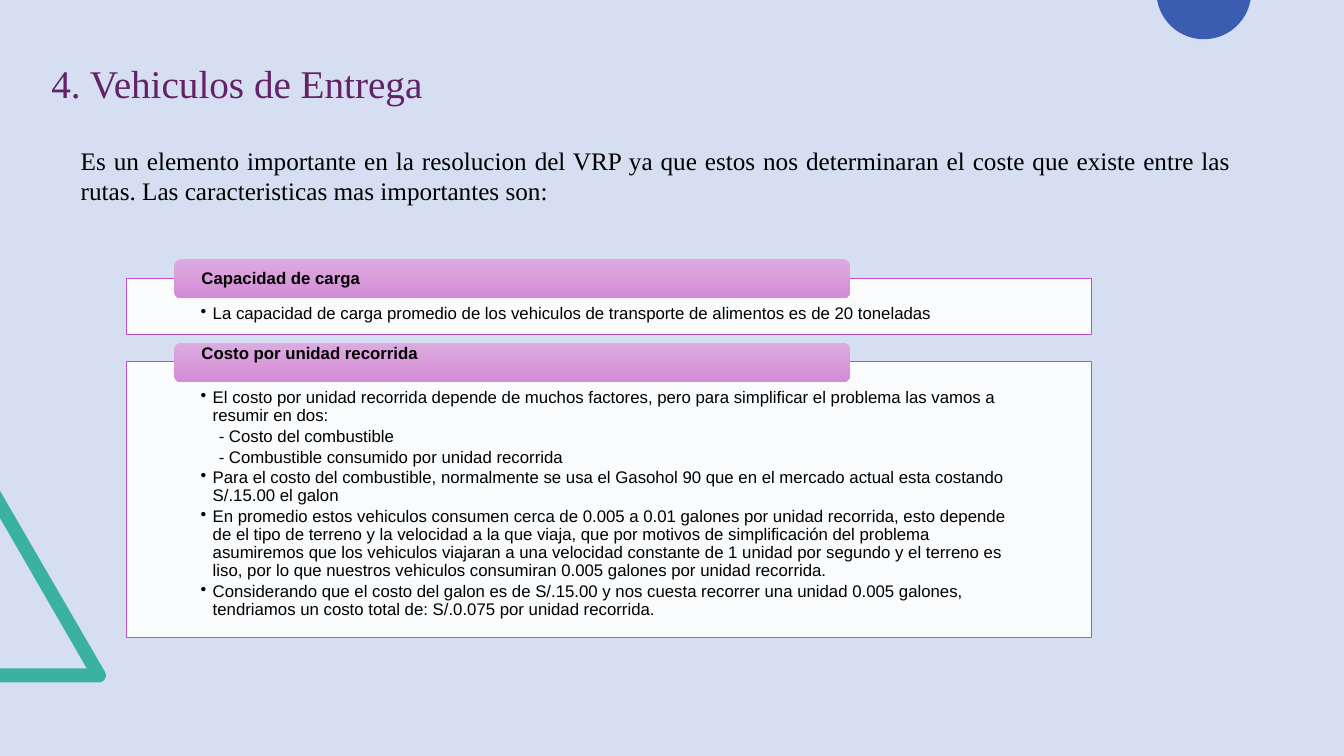
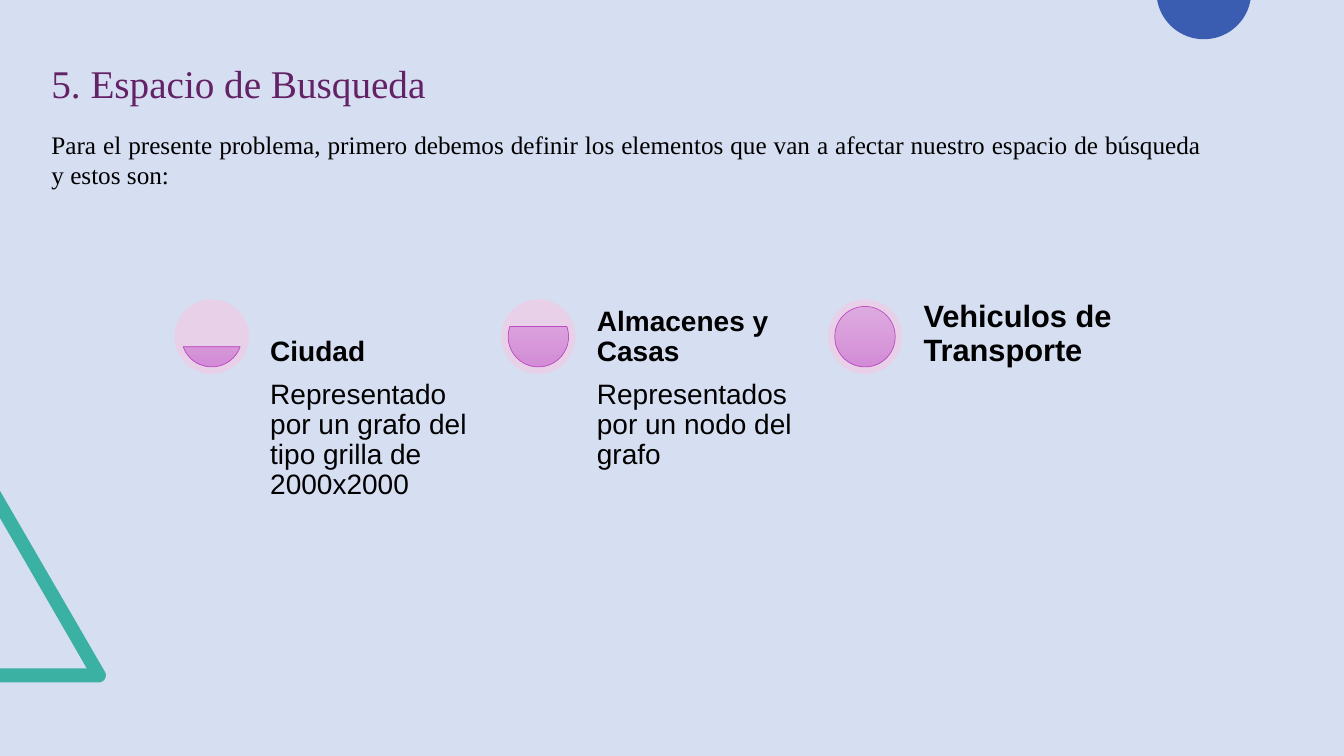
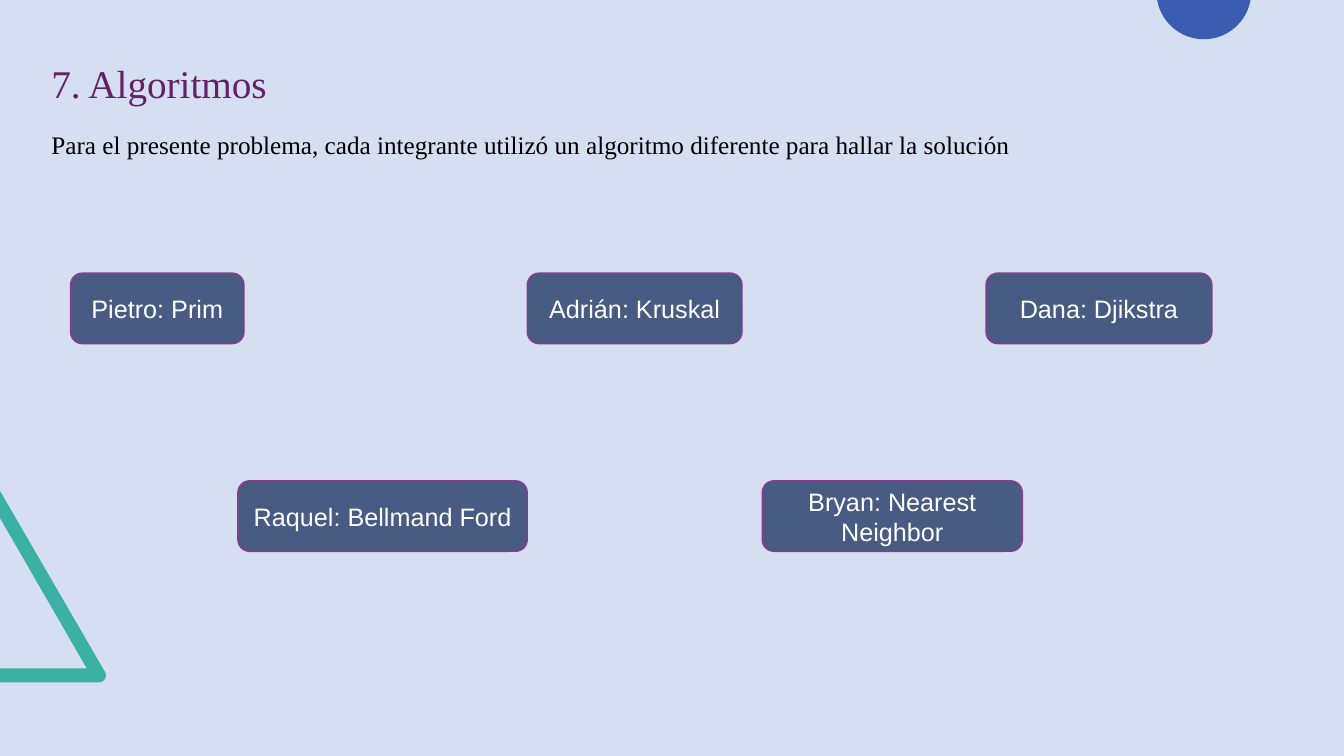
import math
from dataclasses import dataclass, field
from typing import Any, NamedTuple

from lxml import etree
from pptx import Presentation
from pptx import util as u
from pptx.dml.color import RGBColor
from pptx.enum import shapes, text
from pptx.oxml.ns import qn


@dataclass(frozen=True)
class Theme:
    background: str = "D6DEF1"
    teal: str = "3BB1A3"
    blue: str = "3B5DB1"
    title: str = "632266"
    ink: str = "000000"
    white: str = "FFFFFF"
    orchid_light: str = "DDABDF"
    orchid_dark: str = "D38CD6"
    orchid_pale: str = "E8D0E9"
    orchid_line: str = "BF4DC3"
    card: str = "485B83"
    card_line: str = "8D3990"
    serif: str = "Times New Roman"
    sans: str = "Arial"
    title_size: int = 28
    intro_size: int = 18
    panel_size: int = 12
    column_size: int = 20
    column_large: int = 22
    card_size: int = 18


THEME = Theme()


class Box(NamedTuple):
    left: float
    top: float
    width: float
    height: float


@dataclass(frozen=True)
class Style:
    size: int
    font: str = THEME.sans
    color: str = THEME.ink
    bold: bool = False
    paragraph: dict[str, Any] = field(default_factory=dict)


class Item(NamedTuple):
    text: str
    bullet: bool = True


class Panel(NamedTuple):
    heading: str
    top: float
    height: float
    anchor: text.MSO_ANCHOR
    items: list[Item]


class Column(NamedTuple):
    heading: str
    size: int
    level: float
    body: str = ""


class Card(NamedTuple):
    label: str
    left: float
    top: float
    width: float


def compact(after: float) -> dict[str, Any]:
    return {"line_spacing": 0.9, "space_after": u.Pt(after), "alignment": text.PP_ALIGN.LEFT}


TITLE = Style(THEME.title_size, THEME.serif, THEME.title,
              paragraph={"alignment": text.PP_ALIGN.LEFT})
INTRO = Style(THEME.intro_size, THEME.serif,
              paragraph={"alignment": text.PP_ALIGN.JUSTIFY,
                         "space_before": u.Pt(12), "space_after": u.Pt(12)})
PANEL_HEADING = Style(THEME.panel_size, bold=True, paragraph=compact(4.2))
PANEL_ITEM = Style(THEME.panel_size, paragraph=compact(1.8))
CARD = Style(THEME.card_size, color=THEME.white,
             paragraph={"alignment": text.PP_ALIGN.CENTER})

TITLE_BOX = Box(0.41, 0.54, 6, 1.04)
CARD_HEIGHT = 0.7

PANELS = [
    Panel("Capacidad de carga", 2.76, 0.56, text.MSO_ANCHOR.MIDDLE, [
        Item("La capacidad de carga promedio de los vehiculos de transporte de alimentos "
             "es de 20 toneladas"),
    ]),
    Panel("Costo por unidad recorrida", 3.59, 2.73, text.MSO_ANCHOR.TOP, [
        Item("El costo por unidad recorrida depende de muchos factores, pero para simplificar "
             "el problema las vamos a resumir en dos:"),
        Item("- Costo del combustible", bullet=False),
        Item("- Combustible consumido por unidad recorrida", bullet=False),
        Item("Para el costo del combustible, normalmente se usa el Gasohol 90 que en el mercado "
             "actual esta costando S/.15.00 el galon"),
        Item("En promedio estos vehiculos consumen cerca de 0.005 a 0.01 galones por unidad "
             "recorrida, esto depende de el tipo de terreno y la velocidad a la que viaja, que "
             "por motivos de simplificación del problema asumiremos que los vehiculos viajaran "
             "a una velocidad constante de 1 unidad por segundo y el terreno es liso, por lo que "
             "nuestros vehiculos consumiran 0.005 galones por unidad recorrida."),
        Item("Considerando que el costo del galon es de S/.15.00 y nos cuesta recorrer una unidad "
             "0.005 galones, tendriamos un costo total de: S/.0.075 por unidad recorrida."),
    ]),
]

COLUMNS = [
    Column("Ciudad", THEME.column_size, 1 / 3,
           "Representado por un grafo del tipo grilla de 2000x2000"),
    Column("Almacenes y Casas", THEME.column_size, 2 / 3,
           "Representados por un nodo del grafo"),
    Column("Vehiculos de Transporte", THEME.column_large, 1),
]

CARDS = [
    Card("Pietro: Prim", 0.7, 2.71, 1.72),
    Card("Adrián: Kruskal", 5.23, 2.71, 2.13),
    Card("Dana: Djikstra", 9.78, 2.71, 2.24),
    Card("Raquel: Bellmand Ford", 2.36, 4.77, 2.87),
    Card("Bryan: Nearest Neighbor", 7.56, 4.77, 2.58),
]


def apply(target: Any, values: dict[str, Any]) -> None:
    for name, value in values.items():
        setattr(target, name, value)


def inches(box: Box) -> list[int]:
    return [u.Inches(length) for length in box]


def place(shape: Any, box: Box) -> None:
    apply(shape, dict(zip(Box._fields, inches(box))))


def paint(shape: Any, fill: str, line: str = "", width: float = 0.5) -> None:
    shape.shadow.inherit = False
    shape.fill.solid()
    shape.fill.fore_color.rgb = RGBColor.from_string(fill)
    if line:
        shape.line.color.rgb = RGBColor.from_string(line)
        shape.line.width = u.Pt(width)
    else:
        shape.line.fill.background()


def paint_gradient(shape: Any) -> None:
    shape.fill.gradient()
    shape.fill.gradient_angle = 270
    for stop, color in zip(shape.fill.gradient_stops, (THEME.orchid_light, THEME.orchid_dark)):
        stop.color.rgb = RGBColor.from_string(color)


def set_alpha(shape: Any, percent: int) -> None:
    color = shape.fill._xPr.find(qn("a:solidFill"))[0]
    etree.SubElement(color, qn("a:alpha"), val=str(percent * 1000))


def set_indent(paragraph: Any, margin: float, indent: float, bullet: str = "") -> None:
    properties = paragraph._p.get_or_add_pPr()
    properties.set("marL", str(u.Inches(margin)))
    properties.set("indent", str(u.Inches(indent)))
    if bullet:
        etree.SubElement(properties, qn("a:buChar"), char=bullet)
    else:
        etree.SubElement(properties, qn("a:buNone"))


def write(shape: Any, lines: list[str], style: Style,
          anchor: text.MSO_ANCHOR = text.MSO_ANCHOR.TOP,
          margins: tuple[float, float, float, float] = (0.1, 0.05, 0.1, 0.05)) -> list[Any]:
    frame = shape.text_frame
    sides = ("margin_left", "margin_top", "margin_right", "margin_bottom")
    apply(frame, {"word_wrap": True, "auto_size": text.MSO_AUTO_SIZE.NONE,
                  "vertical_anchor": anchor,
                  **{side: u.Inches(length) for side, length in zip(sides, margins)}})
    frame.text = "\n".join(lines)
    for paragraph in frame.paragraphs:
        apply(paragraph, style.paragraph)
        font = paragraph.runs[0].font
        apply(font, {"name": style.font, "size": u.Pt(style.size), "bold": style.bold})
        font.color.rgb = RGBColor.from_string(style.color)
    return list(frame.paragraphs)


def add_shape(slide: Any, kind: shapes.MSO_SHAPE, box: Box, fill: str,
              line: str = "", width: float = 0.5) -> Any:
    shape = slide.shapes.add_shape(kind, *inches(box))
    paint(shape, fill, line, width)
    return shape


def arc(x: float, y: float, radius: float, start: int, end: int) -> list[tuple[float, float]]:
    return [(x + radius * math.cos(math.radians(angle)), y + radius * math.sin(math.radians(angle)))
            for angle in range(start, end + 1, 5)]


def add_outline(slide: Any, points: list[tuple[float, float]], fill: str) -> Any:
    corners = [(u.Inches(x), u.Inches(y)) for x, y in points]
    builder = slide.shapes.build_freeform(*corners[0], scale=1.0)
    builder.add_line_segments(corners[1:], close=True)
    shape = builder.convert_to_shape()
    paint(shape, fill)
    return shape


def prepare_layout(presentation: Any) -> Any:
    background = presentation.slide_master.background.fill
    background.solid()
    background.fore_color.rgb = RGBColor.from_string(THEME.background)
    layout = presentation.slide_layouts[1]
    title, _, *footers = layout.placeholders
    place(title, TITLE_BOX)
    for footer in footers:
        footer.element.getparent().remove(footer.element)
    return layout


def add_decoration(slide: Any, layout: Any) -> None:
    triangle = [(0, 6.77), (0, 6.63), (0.86, 6.63), (0, 5.14), (0, 4.87),
                *arc(0.98, 6.7, 0.07, -30, 90)]
    disc = arc(11.94, -0.08, 0.47, 10, 170)
    for points, color in ((triangle, THEME.teal), (disc, THEME.blue)):
        shape = add_outline(slide, points, color)
        layout.shapes.element.append(shape.element)


def add_slide(presentation: Any, layout: Any, title: str, intro: str, intro_box: Box) -> Any:
    slide = presentation.slides.add_slide(layout)
    write(slide.shapes.title, [title], TITLE)
    body = slide.placeholders[1]
    place(body, intro_box)
    for paragraph in write(body, [intro], INTRO):
        set_indent(paragraph, 0, 0)
    return slide


def add_panel(slide: Any, panel: Panel) -> None:
    frame = add_shape(slide, shapes.MSO_SHAPE.RECTANGLE,
                      Box(1.25, panel.top, 9.57, panel.height), THEME.white, THEME.orchid_line)
    set_alpha(frame, 90)
    paragraphs = write(frame, [item.text for item in panel.items], PANEL_ITEM,
                       margins=(0.74, 0.27, 0.74, 0.09))
    for paragraph, item in zip(paragraphs, panel.items):
        if item.bullet:
            set_indent(paragraph, 0.12, -0.12, "•")
        else:
            set_indent(paragraph, 0.18, 0)
    heading = add_shape(slide, shapes.MSO_SHAPE.ROUNDED_RECTANGLE,
                        Box(1.73, panel.top - 0.19, 6.7, 0.39), THEME.orchid_light)
    paint_gradient(heading)
    write(heading, [panel.heading], PANEL_HEADING, panel.anchor, (0.25, 0, 0.25, 0))


def add_column(slide: Any, column: Column, left: float) -> None:
    top, diameter, inset = 2.97, 0.74, 0.07
    add_shape(slide, shapes.MSO_SHAPE.OVAL, Box(left, top, diameter, diameter), THEME.orchid_pale)
    inner = diameter - 2 * inset
    gauge = add_shape(slide, shapes.MSO_SHAPE.CHORD, Box(left + inset, top + inset, inner, inner),
                      THEME.orchid_light, THEME.orchid_line)
    paint_gradient(gauge)
    angle = math.degrees(math.asin(1 - 2 * column.level))
    gauge.adjustments[0] = angle % 360 * 0.6
    gauge.adjustments[1] = (180 - angle) * 0.6

    spacing = compact(0.35 * column.size)
    blocks = [(column.heading, top, diameter, True, text.MSO_ANCHOR.BOTTOM),
              (column.body, top + diameter, 3.12, False, text.MSO_ANCHOR.TOP)]
    for words, block_top, height, bold, anchor in blocks:
        if words:
            block = slide.shapes.add_textbox(*inches(Box(left + 0.89, block_top, 2.19, height)))
            style = Style(column.size, bold=bold, paragraph=spacing)
            write(block, [words], style, anchor, (0.06, 0.06, 0.06, 0.06))


def add_card(slide: Any, card: Card) -> None:
    shape = add_shape(slide, shapes.MSO_SHAPE.ROUNDED_RECTANGLE,
                      Box(card.left, card.top, card.width, CARD_HEIGHT),
                      THEME.card, THEME.card_line, 1)
    write(shape, [card.label], CARD, text.MSO_ANCHOR.MIDDLE)


def main() -> None:
    presentation = Presentation()
    apply(presentation, {"slide_width": u.Inches(13.33), "slide_height": u.Inches(7.5)})
    layout = prepare_layout(presentation)

    vehicles = add_slide(
        presentation, layout, "4. Vehiculos de Entrega",
        "Es un elemento importante en la resolucion del VRP ya que estos nos determinaran el coste "
        "que existe entre las rutas. Las caracteristicas mas importantes son:",
        Box(0.7, 1.39, 11.61, 0.71))
    add_decoration(vehicles, layout)
    for panel in PANELS:
        add_panel(vehicles, panel)

    search_space = add_slide(
        presentation, layout, "5. Espacio de Busqueda",
        "Para el presente problema, primero debemos definir los elementos que van a afectar "
        "nuestro espacio de búsqueda y estos son:",
        Box(0.41, 1.23, 11.61, 0.71))
    for index, column in enumerate(COLUMNS):
        add_column(search_space, column, 1.73 + 3.24 * index)

    algorithms = add_slide(
        presentation, layout, "7. Algoritmos",
        "Para el presente problema, cada integrante utilizó un algoritmo diferente para hallar "
        "la solución",
        Box(0.41, 1.23, 11.61, 0.4))
    for card in CARDS:
        add_card(algorithms, card)

    presentation.save("out.pptx")


if __name__ == "__main__":
    main()
